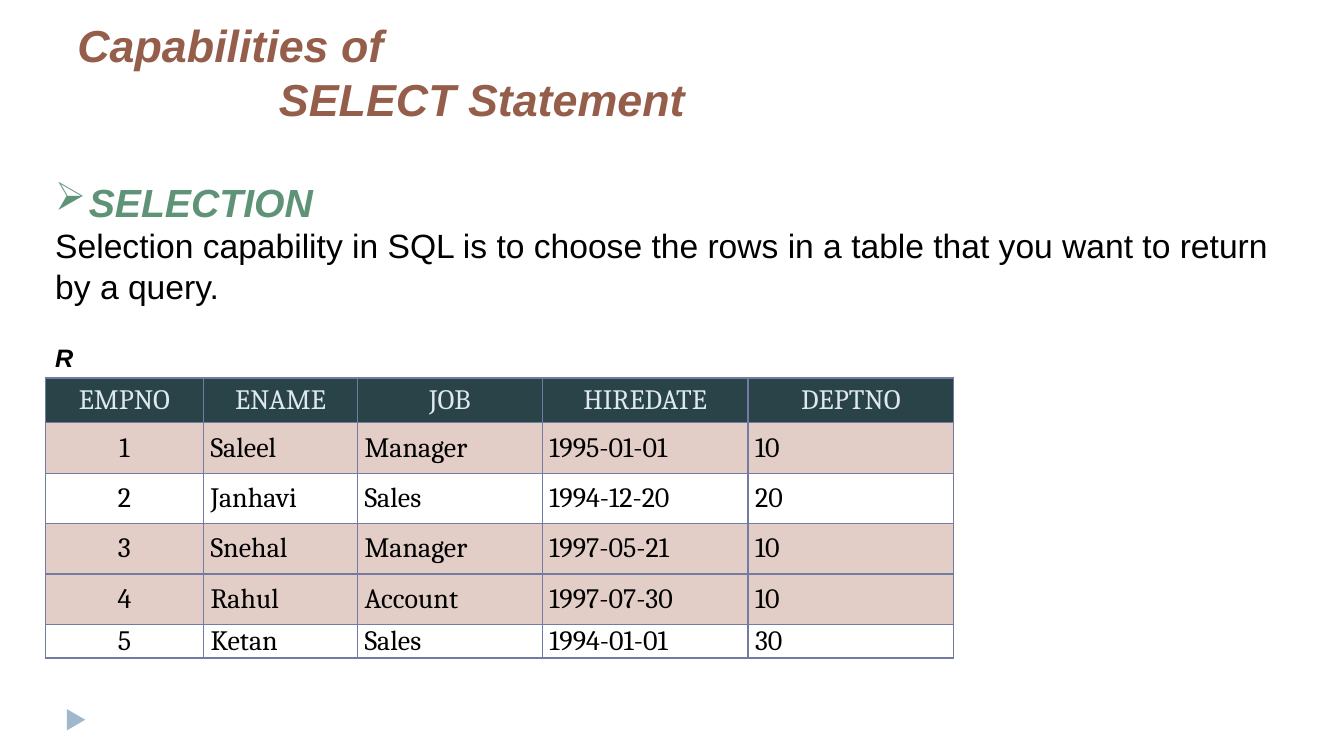
"""Build a slide on the selection capability of the SQL SELECT statement."""
import pptx
import pptx.dml.color
import pptx.enum.shapes
import pptx.enum.text
import pptx.oxml
import pptx.oxml.ns
import pptx.util

Pt = pptx.util.Pt
ANCHOR = pptx.enum.text.MSO_ANCHOR
CENTER = pptx.enum.text.PP_ALIGN.CENTER
COLORS = {
    "title": "955E4B", "heading": "5F9378", "text": "000000",
    "header_fill": "294349", "header_text": "DDE9EC",
    "selected": "E3CEC7", "border": "727CA3", "marker": "9FB8CD",
}
EMPLOYEES = [
    ("EMPNO", "ENAME", "JOB", "HIREDATE", "DEPTNO"),
    ("1", "Saleel", "Manager", "1995-01-01", "10"),
    ("2", "Janhavi", "Sales", "1994-12-20", "20"),
    ("3", "Snehal", "Manager", "1997-05-21", "10"),
    ("4", "Rahul", "Account", "1997-07-30", "10"),
    ("5", "Ketan", "Sales", "1994-01-01", "30"),
]
COLUMN_WIDTHS = (113, 110, 132, 147, 147)
ROW_HEIGHTS = (32, 36, 36, 36, 36, 24)


def rgb(name):
    """Return the named colour."""
    return pptx.dml.color.RGBColor.from_string(COLORS[name])


def style(paragraph, size, color, face="Arial", emphasis=False):
    """Set the font of a paragraph; emphasis means bold italic."""
    font = paragraph.font
    font.name, font.size = face, Pt(size)
    font.bold = font.italic = emphasis
    font.color.rgb = rgb(color)


def indent(paragraph, left, first=0, bullet=None):
    """Indent a paragraph, with a bullet character if one is given."""
    properties = paragraph._p.get_or_add_pPr()
    properties.set("marL", str(Pt(left)))
    properties.set("indent", str(Pt(first)))
    if bullet:
        mark = pptx.oxml.parse_xml(
            f'<a:buChar {pptx.oxml.ns.nsdecls("a")} char="{bullet}"/>')
        properties.insert_element_before(mark, "a:tabLst", "a:defRPr", "a:extLst")


def add_text(slide, box, lines, anchor=ANCHOR.TOP):
    """Add a wrapping text box and return its paragraphs."""
    frame = slide.shapes.add_textbox(*map(Pt, box)).text_frame
    frame.word_wrap = True
    frame.vertical_anchor = anchor
    frame.text = "\n".join(lines)
    return frame.paragraphs


def add_title(slide, box):
    """Add the two-line title with its second line indented."""
    lines = add_text(slide, box, ("Capabilities of", "SELECT Statement"), ANCHOR.BOTTOM)
    for line in lines:
        style(line, 32, "title", emphasis=True)
    indent(lines[1], 144)


def add_definition(slide, box):
    """Add the bulleted heading and the definition below it."""
    heading, definition = add_text(slide, box, (
        "SELECTION",
        "Selection capability in SQL is to choose the rows in a table "
        "that you want to return by a query."))
    heading.line_spacing = 2.0
    style(heading, 28, "heading", emphasis=True)
    indent(heading, 24, -24, "➢")
    style(definition, 24, "text")


def add_relation_name(slide, box):
    """Add the name of the relation above its table."""
    name, = add_text(slide, box, ("R",))
    style(name, 18, "text", emphasis=True)


def add_borders(cell):
    """Draw a thin line on all four sides of a cell."""
    properties = cell._tc.get_or_add_tcPr()
    for side in "LRTB":
        properties.append(pptx.oxml.parse_xml(
            f'<a:ln{side} {pptx.oxml.ns.nsdecls("a")} w="{Pt(1)}"><a:solidFill>'
            f'<a:srgbClr val="{COLORS["border"]}"/></a:solidFill></a:ln{side}>'))


def fill_cell(cell, value, is_header, is_selected, is_centered):
    """Write one table cell with its borders, fill and font."""
    cell.text = value
    cell.vertical_anchor = ANCHOR.MIDDLE
    cell.margin_left = cell.margin_right = Pt(5)
    cell.margin_top = cell.margin_bottom = 0
    add_borders(cell)
    if is_header or is_selected:
        cell.fill.solid()
        cell.fill.fore_color.rgb = rgb("header_fill" if is_header else "selected")
    else:
        cell.fill.background()
    entry = cell.text_frame.paragraphs[0]
    style(entry, 20, "header_text" if is_header else "text", "Cambria")
    if is_centered:
        entry.alignment = CENTER


def add_employees(slide, left, top):
    """Add the employee table, shading every row outside Sales."""
    table = slide.shapes.add_table(
        len(EMPLOYEES), len(COLUMN_WIDTHS), Pt(left), Pt(top),
        Pt(sum(COLUMN_WIDTHS)), Pt(sum(ROW_HEIGHTS))).table
    for column, width in zip(table.columns, COLUMN_WIDTHS):
        column.width = Pt(width)
    for r, (employee, height) in enumerate(zip(EMPLOYEES, ROW_HEIGHTS)):
        table.rows[r].height = Pt(height)
        for c, value in enumerate(employee):
            fill_cell(table.cell(r, c), value, r == 0, employee[2] != "Sales",
                      r == 0 or c == 0)


def add_marker(slide, box):
    """Add the small footer triangle pointing right."""
    marker = slide.shapes.add_shape(
        pptx.enum.shapes.MSO_SHAPE.ISOSCELES_TRIANGLE, *map(Pt, box))
    marker.rotation = 90
    marker.shadow.inherit = False
    marker.fill.solid()
    marker.fill.fore_color.rgb = rgb("marker")
    marker.line.fill.background()


def main():
    """Build and save the slide."""
    deck = pptx.Presentation()
    deck.slide_width, deck.slide_height = Pt(960), Pt(540)
    slide = deck.slides.add_slide(deck.slide_layouts[6])
    add_marker(slide, (46.8, 507.6, 15.1, 13))
    add_definition(slide, (32.4, 90, 895.7, 133.2))
    add_title(slide, (48.2, 20.9, 864, 72))
    add_employees(slide, 32.4, 270)
    add_relation_name(slide, (32.4, 241.2, 31, 28.8))
    deck.save("out.pptx")


if __name__ == "__main__":
    main()
